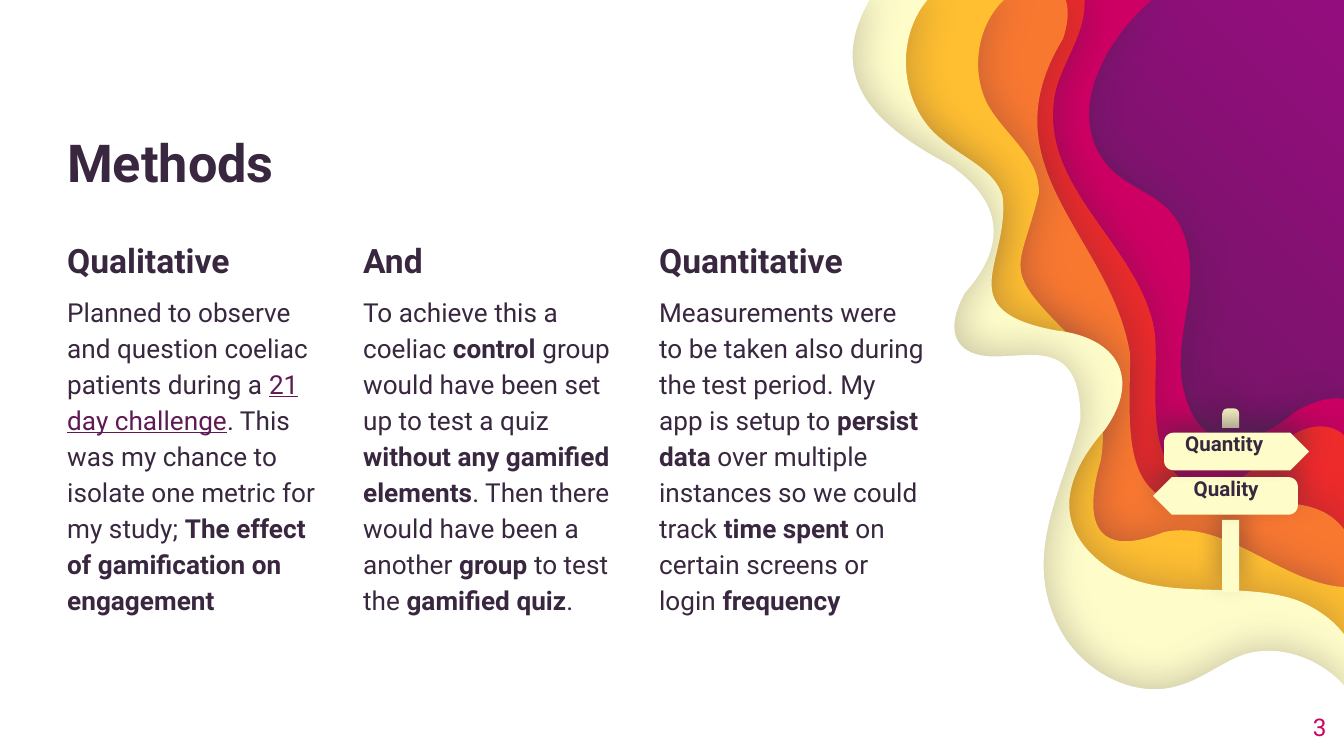
from collections import namedtuple
from math import cos, radians, sin

from pptx import Presentation
from pptx.dml.color import RGBColor
from pptx.enum.shapes import MSO_SHAPE as Preset
from pptx.enum.text import MSO_ANCHOR as Anchor, MSO_AUTO_SIZE as AutoSize, PP_ALIGN as Align
from pptx.oxml import parse_xml
from pptx.oxml.ns import nsdecls, qn
from pptx.util import Cm, Pt

INK = RGBColor(0x39, 0x27, 0x3F)
PURPLE = RGBColor(0x94, 0x0D, 0x7F)
PLUM = RGBColor(0x5E, 0x1B, 0x53)
MAGENTA = RGBColor(0xCE, 0x00, 0x63)
RED = RGBColor(0xED, 0x2B, 0x2B)
ORANGE = RGBColor(0xF9, 0x78, 0x30)
AMBER = RGBColor(0xFF, 0xBF, 0x31)
CREAM = RGBColor(0xFE, 0xFD, 0xCA)
WHITE = RGBColor(0xFF, 0xFF, 0xFF)

FONT = "Roboto"
WAVE_UNITS = 1000

Box = namedtuple("Box", "left top width height")
Shadow = namedtuple("Shadow", "alpha blur distance angle")
WAVE_SHADOW = Shadow(30, 22.5, 0.8, 0)
SIGN_SHADOW = Shadow(50, 14.6, 6.8, 270)

PLAIN, BOLD, LINK = "plain", "bold", "link"

WAVES = [
    (MAGENTA, [(1000, 297), (988, 295), (974, 300), (963, 307), (925, 339), (887, 337), (879, 281),
               (877, 260), (882, 239), (885, 218), (887, 197), (885, 174), (872, 159),
               (859, 143), (837, 139), (824, 123), (791, 84), (824, 28), (857, 0)]),
    (RED, [(1000, 324), (991, 315), (976, 316), (965, 322), (942, 334), (925, 367), (896, 364),
           (846, 353), (864, 284), (859, 246), (848, 182), (772, 140), (785, 70),
           (790, 46), (808, 26), (807, 0)]),
    (ORANGE, [(1000, 394), (984, 372), (953, 373), (928, 376), (833, 390), (840, 336), (841, 264),
              (827, 176), (732, 125), (791, 29), (794, 20), (796, 9), (793, 0)]),
    (AMBER, [(1000, 437), (953, 434), (912, 386), (866, 396), (814, 417), (806, 387), (819, 343),
             (825, 309), (815, 272), (793, 247), (744, 198), (759, 202), (773, 144),
             (774, 117), (748, 101), (735, 78), (722, 53), (727, 19), (747, 0)]),
    (CREAM, [(1000, 472), (991, 460), (977, 451), (963, 446), (919, 432), (868, 448), (827, 424),
             (782, 395), (790, 356), (822, 320), (850, 281), (831, 251), (786, 246),
             (705, 231), (752, 195), (746, 146), (740, 126), (717, 118), (701, 104),
             (670, 80), (665, 30), (690, 0)]),
    (WHITE, [(1000, 510), (982, 490), (952, 479), (926, 487), (909, 493), (895, 505), (878, 510),
             (844, 521), (806, 500), (789, 469), (759, 413), (791, 366), (804, 312),
             (804, 232), (740, 283), (715, 257), (706, 247), (711, 230), (718, 218),
             (749, 183), (747, 151), (707, 123), (656, 96), (612, 61), (647, 0)]),
]

COLUMNS = [
    ("Qualitative", [
        ("Planned to observe and question coeliac patients during a ", PLAIN),
        ("21 day challenge", LINK),
        (". This was my chance to isolate one metric for my study; ", PLAIN),
        ("The effect of gamification on engagement", BOLD)]),
    ("And", [
        ("To achieve this a coeliac ", PLAIN), ("control ", BOLD),
        ("group would have been set up to test a quiz ", PLAIN),
        ("without any gamified elements", BOLD),
        (". Then there would have been a another ", PLAIN), ("group ", BOLD),
        ("to test the ", PLAIN), ("gamified quiz", BOLD), (".", PLAIN)]),
    ("Quantitative", [
        ("Measurements were to be taken also during the test period. My app is setup to ", PLAIN),
        ("persist data ", BOLD), ("over multiple instances so we could track ", PLAIN),
        ("time spent", BOLD), (" on certain screens or login ", PLAIN), ("frequency", BOLD)]),
]


def paint(shape, color, shadow):
    """Fill a shape with one colour and give it a soft outer shadow."""
    shape.fill.solid()
    shape.fill.fore_color.rgb = color
    shape.line.fill.background()
    shape.shadow.inherit = False
    shape.element.spPr.find(qn("a:effectLst")).append(parse_xml(
        f'<a:outerShdw {nsdecls("a")} blurRad="{Pt(shadow.blur)}" dist="{Pt(shadow.distance)}" '
        f'dir="{shadow.angle * 60000}" algn="bl" rotWithShape="0"><a:srgbClr val="{INK}">'
        f'<a:alpha val="{shadow.alpha * 1000}"/></a:srgbClr></a:outerShdw>'))


def add_outline(shapes, points, color, shadow):
    """Draw a closed, painted polygon and return it."""
    builder = shapes.build_freeform(*points[0], scale=1.0)
    builder.add_line_segments(points[1:], close=True)
    shape = builder.convert_to_shape()
    paint(shape, color, shadow)
    return shape


def bend_segments(shape, controls):
    """Turn the first segments of an outline into cubic curves."""
    segments = list(shape.element.iter(qn("a:lnTo")))
    for segment, pair in zip(segments, controls):
        points = "".join(f'<a:pt x="{round(x - shape.left)}" y="{round(y - shape.top)}"/>'
                         for x, y in pair)
        curve = parse_xml(f'<a:cubicBezTo {nsdecls("a")}>{points}</a:cubicBezTo>')
        curve.append(segment[0])
        segment.getparent().replace(segment, curve)


def set_background(slide):
    """Give the slide a radial gradient centred in the top right corner."""
    slide.background.fill.gradient()
    gradient = slide.element.find(".//" + qn("a:gradFill"))
    stops = "".join(f'<a:gs pos="{position * 1000}"><a:srgbClr val="{color}"/></a:gs>'
                    for position, color in ((0, PURPLE), (50, PLUM), (100, PLUM)))
    gradient.getparent().replace(gradient, parse_xml(
        f'<a:gradFill {nsdecls("a")}><a:gsLst>{stops}</a:gsLst><a:path path="circle">'
        '<a:fillToRect l="100000" b="100000"/></a:path><a:tileRect/></a:gradFill>'))


def add_waves(slide, box):
    """Stack the paper-cut layers over the box."""
    shapes = slide.shapes.add_group_shape().shapes
    unit = box.width / WAVE_UNITS
    right, bottom = box.left + box.width, box.top + box.height
    frame = [(box.left, box.top), (box.left, bottom), (right, bottom)]
    for color, points in WAVES:
        edge = [(box.left + x * unit, box.top + y * unit) for x, y in points]
        wave = add_outline(shapes, edge[::3] + frame, color, WAVE_SHADOW)
        bend_segments(wave, zip(edge[1::3], edge[2::3]))


def format_paragraph(paragraph, size, color=INK, bold=None):
    """Set the font shared by the runs of a paragraph."""
    font = paragraph.font
    font.name, font.size, font.bold = FONT, Pt(size), bold
    font.color.rgb = color


def set_body_spacing(paragraph):
    """Apply the body line and paragraph spacing."""
    paragraph.line_spacing = 1.15
    paragraph.space_before = Pt(6)


def set_frame(frame, inset=0, anchor=Anchor.TOP):
    """Set insets, wrapping and anchor of a text frame."""
    frame.margin_left = frame.margin_right = frame.margin_top = frame.margin_bottom = inset
    frame.word_wrap = True
    frame.auto_size = AutoSize.NONE
    frame.vertical_anchor = anchor


def add_title(slide, box, text):
    """Place the title placeholder above the waves."""
    title = slide.shapes.title
    title.left, title.top, title.width, title.height = box
    title.element.getparent().append(title.element)
    set_frame(title.text_frame, anchor=Anchor.BOTTOM)
    title.text_frame.text = text
    paragraph = title.text_frame.paragraphs[0]
    paragraph.alignment = Align.LEFT
    paragraph.line_spacing = 0.8
    format_paragraph(paragraph, 28, bold=True)


def add_column(slide, box, heading, pieces):
    """Add a heading with a paragraph of mixed emphasis below it."""
    frame = slide.shapes.add_textbox(*box).text_frame
    set_frame(frame)
    frame.text = heading
    format_paragraph(frame.paragraphs[0], 18, bold=True)
    body = frame.add_paragraph()
    format_paragraph(body, 14)
    for text, style in pieces:
        run = body.add_run()
        run.text = text
        run.font.bold = style == BOLD
        if style == LINK:
            run.font.underline = True
            run.font.color.rgb = PLUM
    for paragraph in frame.paragraphs:
        set_body_spacing(paragraph)


def add_columns(slide, box):
    """Spread the text columns evenly across the box."""
    gap = Cm(0.56)
    width = (box.width - gap * (len(COLUMNS) - 1)) // len(COLUMNS)
    for index, (heading, pieces) in enumerate(COLUMNS):
        left = box.left + index * (width + gap)
        add_column(slide, Box(left, box.top, width, box.height), heading, pieces)


def add_board(shapes, box, mirrored):
    """Add an arrow-shaped board with rounded corners at its blunt end."""
    radius, tip = box.height / 4, box.height / 2
    points = [(box.width - tip, 0), (box.width, box.height / 2), (box.width - tip, box.height)]
    for center, start in ((box.height - radius, 90), (radius, 180)):
        points += [(radius + radius * cos(radians(angle)), center + radius * sin(radians(angle)))
                   for angle in range(start, start + 91, 15)]
    add_outline(shapes, [(box.left + (box.width - x if mirrored else x), box.top + y)
                         for x, y in points], CREAM, SIGN_SHADOW)


def add_label(slide, box, text):
    """Write the name on a board."""
    frame = slide.shapes.add_textbox(*box).text_frame
    set_frame(frame, Cm(0.25))
    frame.text = text
    set_body_spacing(frame.paragraphs[0])
    format_paragraph(frame.paragraphs[0], 11, bold=True)


def add_signpost(slide, box):
    """Build the post with two boards pointing opposite ways."""
    shapes = slide.shapes.add_group_shape().shapes
    post_left, post_width = box.left + Cm(1.31), Cm(0.32)
    board_width, board_height = Cm(2.74), Cm(0.71)
    post = shapes.add_shape(Preset.RECTANGLE, post_left, box.top + Cm(2.11), post_width, Cm(1.37))
    paint(post, CREAM, SIGN_SHADOW)
    add_board(shapes, Box(box.left, box.top + Cm(1.3), board_width, board_height), True)
    cap = shapes.add_shape(Preset.ROUND_2_SAME_RECTANGLE, post_left, box.top, post_width, Cm(0.37))
    cap.adjustments[0] = 0.3
    paint(cap, CREAM, SIGN_SHADOW)
    add_board(shapes, Box(box.left + Cm(0.21), box.top + Cm(0.46), board_width, board_height), False)
    for text, left, top in (("Quality", 0.52, 0.96), ("Quantity", 0.36, 0.12)):
        add_label(slide, Box(box.left + Cm(left), box.top + Cm(top), Cm(5.59), Cm(0.48)), text)


def add_page_number(slide, box, text):
    """Write the page number at the right edge of the box."""
    frame = slide.shapes.add_textbox(*box).text_frame
    set_frame(frame, anchor=Anchor.MIDDLE)
    frame.text = text
    frame.paragraphs[0].alignment = Align.RIGHT
    format_paragraph(frame.paragraphs[0], 13, MAGENTA)


def main():
    """Build the methods slide and save it."""
    presentation = Presentation()
    presentation.slide_width, presentation.slide_height = Cm(25.4), Cm(14.29)
    slide = presentation.slides.add_slide(presentation.slide_layouts[5])
    set_background(slide)
    add_waves(slide, Box(0, 0, presentation.slide_width, presentation.slide_height))
    add_title(slide, Box(Cm(1.27), Cm(1.66), Cm(14.48), Cm(1.98)), "Methods")
    add_page_number(slide, Box(Cm(23.55), Cm(13.19), Cm(1.52), Cm(1.1)), "3")
    add_columns(slide, Box(Cm(1.27), Cm(4.42), Cm(16.22), Cm(8.18)))
    add_signpost(slide, Box(Cm(21.79), Cm(7.72), Cm(2.94), Cm(3.48)))
    presentation.save("out.pptx")


if __name__ == "__main__":
    main()
